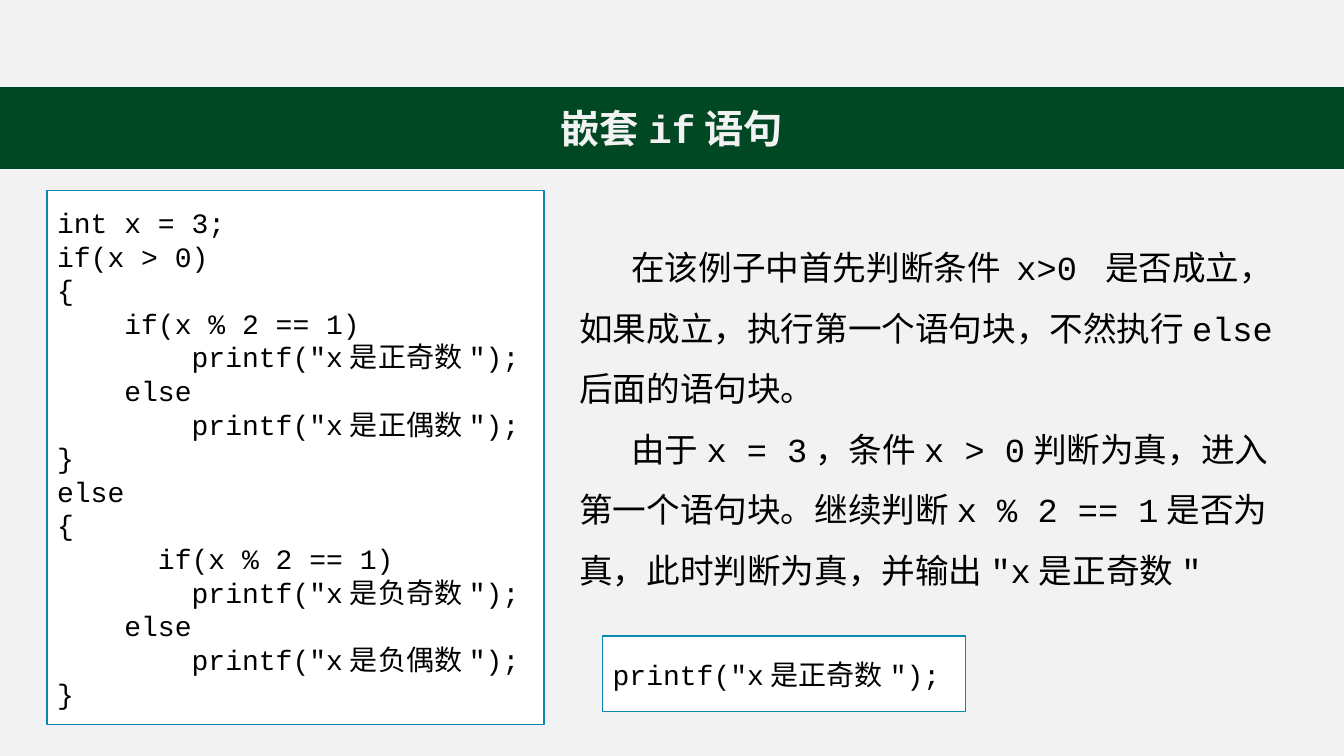
"""Build the slide on nested if statements."""
from dataclasses import dataclass
from itertools import cycle

from lxml.etree import SubElement as Sub
from pptx import Presentation as Deck
from pptx.dml.color import RGBColor as Rgb
from pptx.enum.shapes import MSO_SHAPE as Kind
from pptx.enum.text import MSO_ANCHOR as Anchor, PP_ALIGN as Align
from pptx.oxml.ns import qn
from pptx.util import Cm, Pt


@dataclass(frozen=True)
class Theme:
    back: Rgb = Rgb(0xF2, 0xF2, 0xF2)
    green: Rgb = Rgb(0x00, 0x47, 0x23)
    blue: Rgb = Rgb(0x09, 0x89, 0xB1)
    white: Rgb = Rgb(0xFF, 0xFF, 0xFF)
    ink: Rgb = Rgb(0, 0, 0)
    head: Pt = Pt(28)
    body: Pt = Pt(24)
    code: Pt = Pt(20)
    han: str = "Noto Sans CJK SC"
    mono: str = "Courier New"


LOOK = Theme()
WIDE = 33.87

CODE = """int x = 3;
if(x > 0)
{
    if(x % 2 == 1)
        printf("x是正奇数");
    else
        printf("x是正偶数");
}
else
{
      if(x % 2 == 1)
        printf("x是负奇数");
    else
        printf("x是负偶数");
}"""

PROSE = [
    ["在该例子中首先判断条件 ", "x>0 ",
     "是否成立，如果成立，执行第一个语句块，不然执行", "else", "后面的语句块。"],
    ["由于", "x = 3", "，条件", "x > 0", "判断为真，进入第一个语句块。继续判断",
     "x % 2 == 1", "是否为真，此时判断为真，并输出", '"x是正奇数"'],
]


def apply(item, form):
    for name, value in form.items():
        setattr(item, name, value)


def add_run(para, text, face, size, color, bold=False):
    run = para.add_run()
    run.text = text
    run.font.color.rgb = color
    apply(run.font, {"size": size, "bold": bold, "name": face})
    Sub(run.font._element, qn("a:ea"), typeface=LOOK.han)


def write(frame, paras, faces, size, color, bold=False, form=None, indent=0):
    """Fill a frame, with the runs of each paragraph taking the faces in turn."""
    for i, runs in enumerate(paras):
        para = frame.add_paragraph() if i else frame.paragraphs[0]
        apply(para, form or {"alignment": Align.LEFT})
        if indent:
            para._p.get_or_add_pPr().set("indent", str(Cm(indent)))
        for text, face in zip(runs, cycle(faces)):
            add_run(para, text, face, size, color, bold)


def add_box(slide, area, fill, line=None):
    box = slide.shapes.add_shape(Kind.RECTANGLE, *map(Cm, area))
    box.shadow.inherit = False
    box.fill.solid()
    box.fill.fore_color.rgb = fill
    if line is None:
        box.line.fill.background()
    else:
        box.line.color.rgb = line
        box.line.width = Pt(1)
    apply(box.text_frame, {"word_wrap": True, "vertical_anchor": Anchor.MIDDLE})
    return box.text_frame


def add_title(slide, runs):
    frame = add_box(slide, (0, 2.2, WIDE, 2.05), LOOK.green, LOOK.green)
    write(frame, [runs], [LOOK.han, LOOK.mono], LOOK.head, LOOK.back, True,
          {"alignment": Align.CENTER})


def add_code(slide, area, code):
    frame = add_box(slide, area, LOOK.white, LOOK.blue)
    lines = [[line] for line in code.splitlines()]
    write(frame, lines, [LOOK.mono], LOOK.code, LOOK.ink)


def add_prose(slide, area, paras):
    frame = slide.shapes.add_textbox(*map(Cm, area)).text_frame
    sides = ("left", "right", "top", "bottom")
    apply(frame, {"word_wrap": True, **{f"margin_{side}": 0 for side in sides}})
    write(frame, paras, [LOOK.han, LOOK.mono], LOOK.body, LOOK.ink,
          form={"alignment": Align.LEFT, "line_spacing": 1.5}, indent=1.31)


def main():
    deck = Deck()
    apply(deck, {"slide_width": Cm(WIDE), "slide_height": Cm(19.05)})
    slide = deck.slides.add_slide(deck.slide_layouts[6])
    slide.background.fill.solid()
    slide.background.fill.fore_color.rgb = LOOK.back
    add_box(slide, (0, 0, WIDE, 2.2), LOOK.back)
    add_title(slide, ["嵌套", "if", "语句"])
    add_prose(slide, (14.6, 5.72, 17.93, 9.22), PROSE)
    add_code(slide, (1.19, 4.8, 12.52, 13.46), CODE)
    add_code(slide, (15.19, 16.03, 9.14, 1.9), 'printf("x是正奇数");')
    deck.save("out.pptx")


if __name__ == "__main__":
    main()
